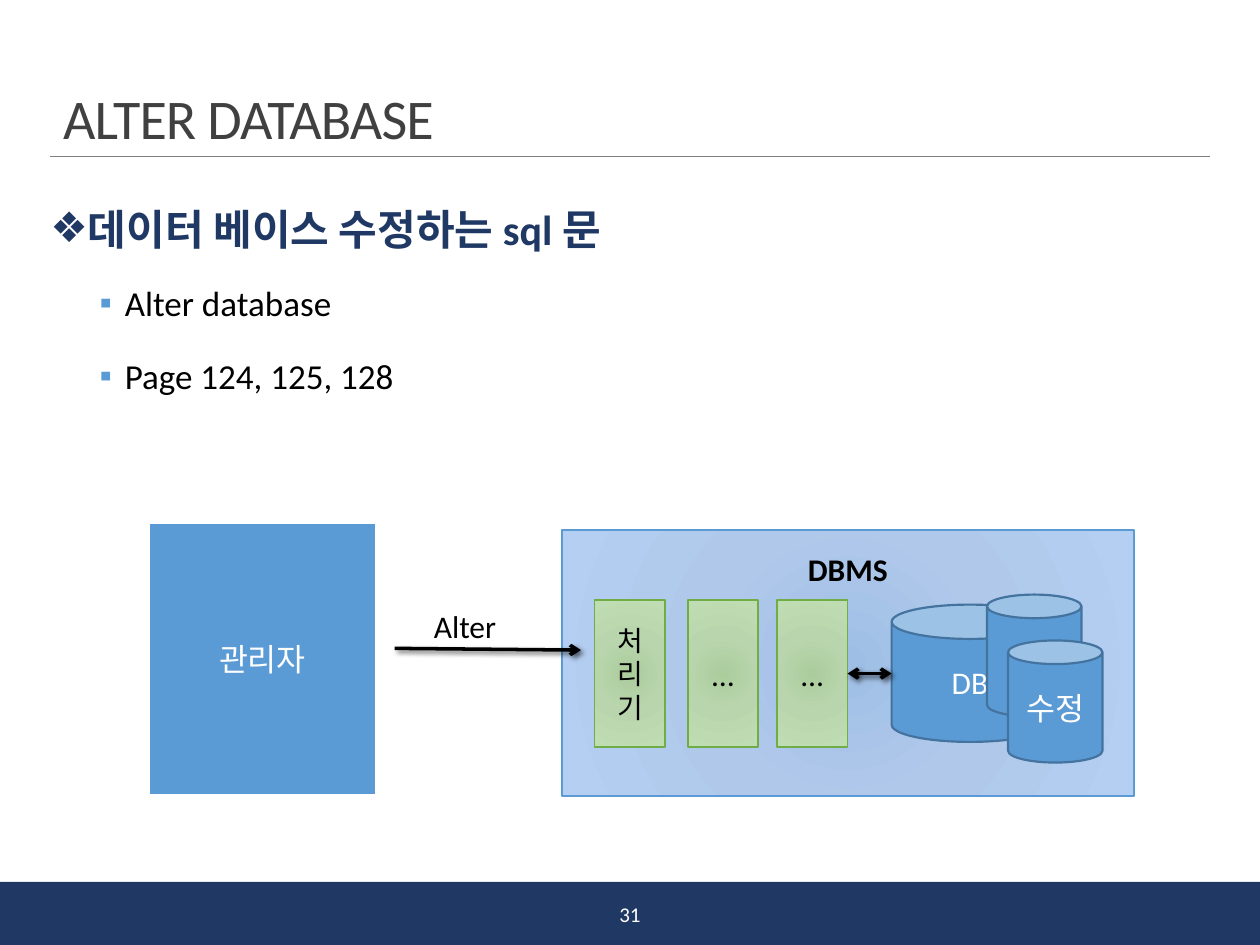
from lxml import etree
from pptx import Presentation
from pptx.dml.color import RGBColor
from pptx.enum.shapes import MSO_CONNECTOR as Connector, MSO_SHAPE as Shape
from pptx.enum.text import MSO_ANCHOR as Anchor, MSO_AUTO_SIZE as AutoSize, PP_ALIGN as Align
from pptx.oxml import parse_xml
from pptx.oxml.ns import nsdecls, qn
from pptx.util import Pt

NAVY = RGBColor(0x20, 0x38, 0x64)
BLUE = RGBColor(0x5B, 0x9B, 0xD5)
DARK_BLUE = RGBColor(0x43, 0x73, 0x9E)
GREEN = RGBColor(0x70, 0xAD, 0x47)
GRAY = RGBColor(0x80, 0x80, 0x80)
TITLE_GRAY = RGBColor(0x40, 0x40, 0x40)
BLACK = RGBColor(0, 0, 0)
WHITE = RGBColor(0xFF, 0xFF, 0xFF)
BLUE_GLOW = ("9FBEE5", "B0C9EB", "B4CFF2")
GREEN_GLOW = ("ABCD9D", "B9D5AD", "BFDDB3")
FONT = "Calibri"

presentation = Presentation()
presentation.slide_width, presentation.slide_height = Pt(720), Pt(540)
slide = presentation.slides.add_slide(presentation.slide_layouts[1])


def add_text(shape, text, size, color, bold=False, anchor=Anchor.MIDDLE):
    frame = shape.text_frame
    frame.word_wrap = True
    frame.vertical_anchor = anchor
    paragraph = frame.paragraphs[0]
    paragraph.alignment = Align.CENTER
    run = paragraph.add_run()
    run.text = text
    run.font.name, run.font.size, run.font.bold = FONT, Pt(size), bold
    run.font.color.rgb = color


def add_box(kind, left, top, width, height, fill, line=None, line_width=1):
    """Add a shape; fill is one colour or three stops of a radial gradient."""
    shape = slide.shapes.add_shape(kind, Pt(left), Pt(top), Pt(width), Pt(height))
    shape.shadow.inherit = False
    if isinstance(fill, RGBColor):
        shape.fill.solid()
        shape.fill.fore_color.rgb = fill
    else:
        stops = "".join(f'<a:gs pos="{position}"><a:srgbClr val="{color}"/></a:gs>'
                        for position, color in zip((0, 45000, 100000), fill))
        shape.fill.background()
        no_fill = shape._element.spPr.find(qn("a:noFill"))
        no_fill.getparent().replace(no_fill, parse_xml(
            f'<a:gradFill {nsdecls("a")} rotWithShape="1"><a:gsLst>{stops}</a:gsLst>'
            '<a:path path="circle"><a:fillToRect l="50000" t="50000" r="50000" b="50000"/>'
            '</a:path></a:gradFill>'))
    if line is None:
        shape.line.fill.background()
    else:
        shape.line.color.rgb = line
        shape.line.width = Pt(line_width)
    return shape


# Footer band, page number and title rule
add_box(Shape.RECTANGLE, 0, 504, 720, 36, NAVY)
page_number = slide.shapes.add_textbox(Pt(321), Pt(508), Pt(78), Pt(29))
add_text(page_number, "31", 12, WHITE)
rule = slide.shapes.add_connector(Connector.STRAIGHT, Pt(28.8), Pt(89.4), Pt(691.2), Pt(89.4))
rule.line.color.rgb = GRAY
rule.line.width = Pt(0.5)
etree.SubElement(rule._element.spPr, qn("a:effectLst"))

# Title
title = slide.shapes.title
title.left, title.top, title.width, title.height = Pt(28.8), Pt(30), Pt(662.4), Pt(60)
add_text(title, "ALTER DATABASE", 32, TITLE_GRAY, anchor=Anchor.BOTTOM)
title.text_frame.auto_size = AutoSize.NONE
heading = title.text_frame.paragraphs[0]
heading.alignment = Align.LEFT
heading.line_spacing = 0.85
heading.runs[0].font._element.set("spc", "-50")

# Bullet list
body = slide.placeholders[1]
body.left, body.top, body.width, body.height = Pt(28.8), Pt(98), Pt(662.4), Pt(373)
frame = body.text_frame
frame.auto_size = AutoSize.NONE
frame.margin_left = frame.margin_right = 0
items = [("데이터 베이스 수정하는 sql 문", 0), ("Alter database", 1), ("Page 124, 125, 128", 1)]
# Per level: bullet, bullet colour, size, text colour, margin, indent, space before, space after
levels = [("❖", NAVY, 24, NAVY, 7.2, -7.2, 0, 2),
          ("▪", BLUE, 20, BLACK, 42.5, -14.4, 2, 4)]
for index, (text, level) in enumerate(items):
    bullet, bullet_color, size, color, margin, indent, before, after = levels[level]
    paragraph = frame.paragraphs[0] if index == 0 else frame.add_paragraph()
    paragraph.level = level
    paragraph.alignment = Align.JUSTIFY
    paragraph.line_spacing = 1.5
    paragraph.space_before, paragraph.space_after = Pt(before), Pt(after)
    properties = paragraph._element.get_or_add_pPr()
    properties.set("marL", str(Pt(margin)))
    properties.set("indent", str(Pt(indent)))
    bullet_fill = etree.SubElement(properties, qn("a:buClr"))
    etree.SubElement(bullet_fill, qn("a:srgbClr"), val=str(bullet_color))
    etree.SubElement(properties, qn("a:buChar"), char=bullet)
    run = paragraph.add_run()
    run.text = text
    run.font.name, run.font.size, run.font.bold = FONT, Pt(size), level == 0
    run.font.color.rgb = color

# DBMS box with its database
dbms = add_box(Shape.RECTANGLE, 321, 303, 327, 152, BLUE_GLOW, BLUE)
dbms.text_frame.margin_top = Pt(11.5)
add_text(dbms, "DBMS", 18, BLACK, bold=True, anchor=Anchor.TOP)
database = add_box(Shape.CAN, 509.5, 345.5, 89.5, 78.5, BLUE, DARK_BLUE, 1.25)
add_text(database, "DB", 18, WHITE)

# Processing steps
for left, text, size in [(339.8, "처리기", 16), (393, "…", 18), (444, "…", 18)]:
    step = add_box(Shape.RECTANGLE, left, 343, 40.3, 83.8, GREEN_GLOW, GREEN)
    add_text(step, text, size, BLACK)

# Administrator
administrator = add_box(Shape.RECTANGLE, 84.5, 298.5, 131, 156, BLUE, WHITE, 2)
add_text(administrator, "관리자", 18, WHITE)

# Arrows: request to the DBMS, and last step to and from the database
request = slide.shapes.add_connector(Connector.STRAIGHT, Pt(225.5), Pt(370.5), Pt(332), Pt(371.5))
access = slide.shapes.add_connector(Connector.STRAIGHT, Pt(484.3), Pt(384.9), Pt(509.5), Pt(384.9))
access.begin_connect(step, 3)
for arrow, ends in [(request, ["a:tailEnd"]), (access, ["a:headEnd", "a:tailEnd"])]:
    arrow.line.color.rgb = BLACK
    arrow.line.width = Pt(2)
    for end in ends:
        etree.SubElement(arrow.line._get_or_add_ln(), qn(end), type="arrow")
    arrow._element.spPr.append(parse_xml(
        f'<a:effectLst {nsdecls("a")}><a:outerShdw blurRad="{Pt(3)}" dist="{Pt(2)}" dir="2700000">'
        '<a:srgbClr val="000000"><a:alpha val="60000"/></a:srgbClr></a:outerShdw></a:effectLst>'))

request_label = slide.shapes.add_textbox(Pt(225.5), Pt(343.5), Pt(80.5), Pt(29))
add_text(request_label, "Alter", 18, BLACK, anchor=Anchor.TOP)

# Smaller databases in front, the last one being modified
for left, top in [(564, 339.8), (576, 366)]:
    modified = add_box(Shape.CAN, left, top, 54, 69.8, BLUE, DARK_BLUE, 1.25)
add_text(modified, "수정", 18, WHITE)

presentation.save("out.pptx")
